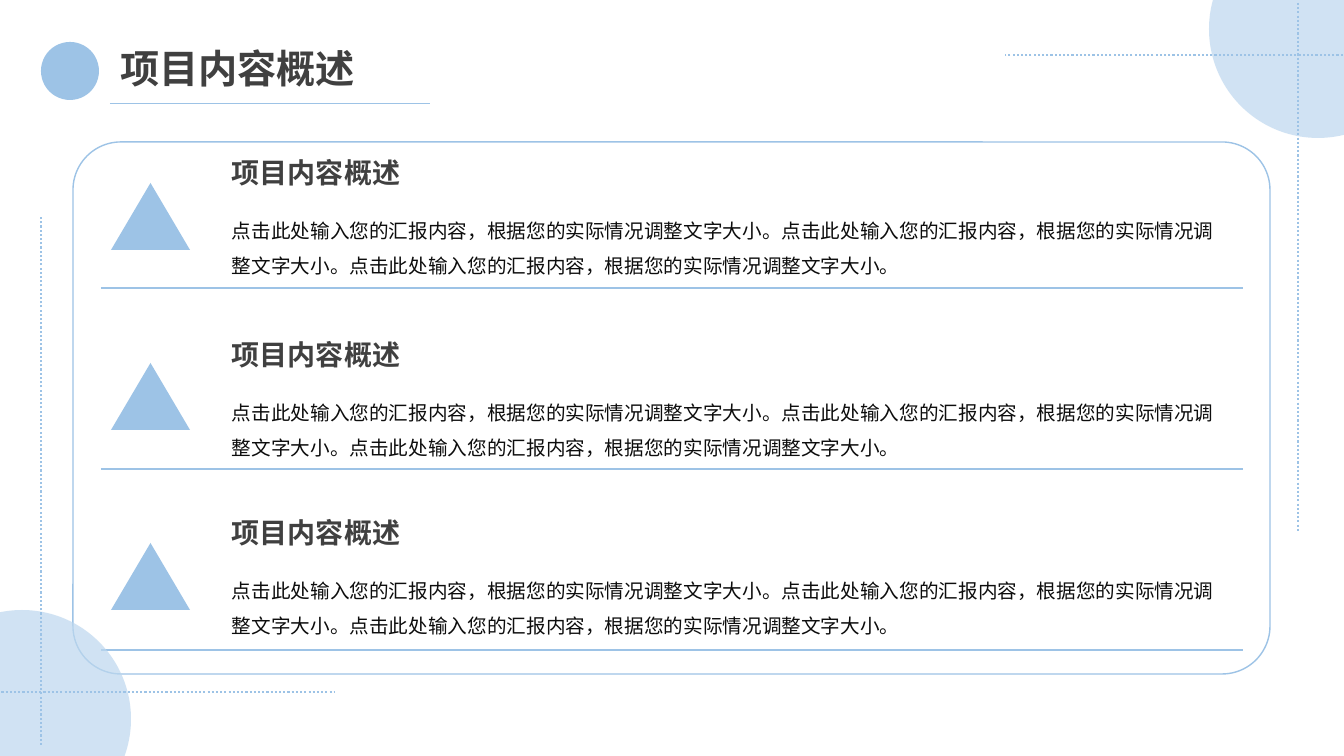
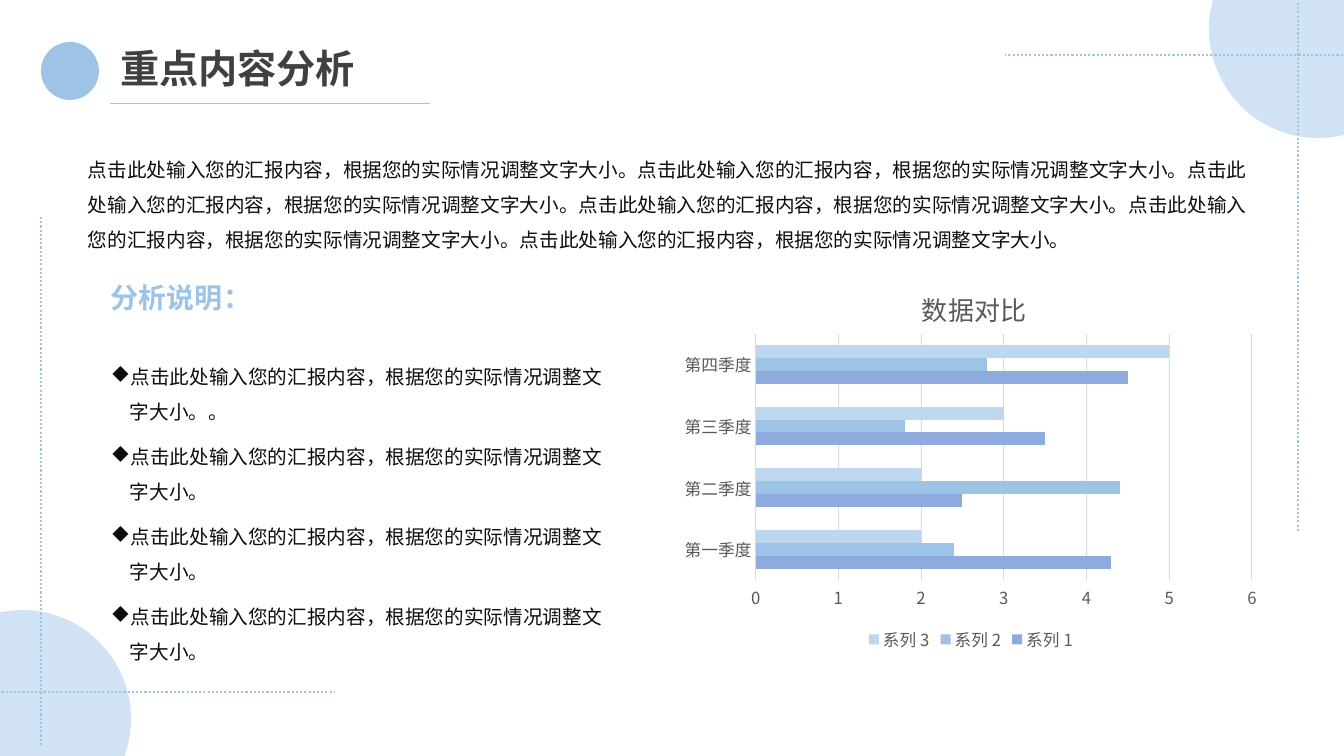
"""Build a project overview slide and a key analysis slide with a shared frame."""
from lxml import etree
from pptx import Presentation
from pptx.chart.data import CategoryChartData
from pptx.dml.color import RGBColor
from pptx.enum.chart import XL_CHART_TYPE, XL_LEGEND_POSITION, XL_TICK_MARK
from pptx.enum.dml import MSO_LINE
from pptx.enum.shapes import MSO_CONNECTOR, MSO_SHAPE
from pptx.enum.text import MSO_ANCHOR, MSO_AUTO_SIZE, PP_ALIGN
from pptx.oxml.ns import qn
from pptx.util import Emu, Pt

OVAL, TRIANGLE, ROUNDED = MSO_SHAPE.OVAL, MSO_SHAPE.ISOSCELES_TRIANGLE, MSO_SHAPE.ROUNDED_RECTANGLE
STRAIGHT, DOTTED = MSO_CONNECTOR.STRAIGHT, MSO_LINE.ROUND_DOT
BARS, LEGEND_BOTTOM, NO_TICK = XL_CHART_TYPE.BAR_CLUSTERED, XL_LEGEND_POSITION.BOTTOM, XL_TICK_MARK.NONE
TOP, GROW, LEFT, JUSTIFY = MSO_ANCHOR.TOP, MSO_AUTO_SIZE.SHAPE_TO_FIT_TEXT, PP_ALIGN.LEFT, PP_ALIGN.JUSTIFY

PX = 914400 / 100.8
FONT = "Noto Sans CJK SC"
HEX = {
    "accent": "9DC3E6", "pale": "BDD7EE", "deep": "8FAADC", "heading": "404040",
    "body": "0D0D0D", "label": "595959", "grid": "D9D9D9",
}
COLOR = {name: RGBColor.from_string(value) for name, value in HEX.items()}
STYLES = {
    "title": ("heading", {"size": Pt(28), "bold": True}, {"alignment": JUSTIFY}),
    "heading": ("heading", {"size": Pt(20), "bold": True}, {"alignment": JUSTIFY}),
    "accent": ("accent", {"size": Pt(20), "bold": True}, {"alignment": LEFT}),
    "body": ("body", {"size": Pt(14), "bold": False}, {"alignment": LEFT, "line_spacing": 1.5}),
}
SENTENCE = "点击此处输入您的汇报内容，根据您的实际情况调整文字大小。"


def write(holder, box, text, style):
    """Place a text holder at a px box and fill it in one of the styles."""
    holder.left, holder.top, holder.width, holder.height = [Emu(round(v * PX)) for v in box]
    frame = holder.text_frame
    frame.text = text
    for name, value in {"word_wrap": True, "auto_size": GROW, "vertical_anchor": TOP}.items():
        setattr(frame, name, value)
    color, font_format, paragraph_format = STYLES[style]
    paragraph = frame.paragraphs[0]
    for name, value in paragraph_format.items():
        setattr(paragraph, name, value)
    font = paragraph.runs[0].font
    for name, value in {"name": FONT, **font_format}.items():
        setattr(font, name, value)
    font.color.rgb = COLOR[color]
    return paragraph


def rule(slide, ends, weight, dash=None):
    """Draw an accent line between two px points."""
    line = slide.shapes.add_connector(STRAIGHT, *[Emu(round(v * PX)) for v in ends])
    line.line.color.rgb = COLOR["accent"]
    line.line.width = Pt(weight)
    line.line.dash_style = dash
    etree.SubElement(line.element.spPr, qn("a:effectLst"))


deck = Presentation()
deck.slide_width, deck.slide_height = Emu(round(1344 * PX)), Emu(round(756 * PX))
title_only = deck.slide_layouts[5]
overview, analysis = [deck.slides.add_slide(title_only) for _ in range(2)]
for slide, title in ((overview, "项目内容概述"), (analysis, "重点内容分析")):
    write(slide.shapes.title, (110, 39, 321, 57), title, "title")

panel = overview.shapes.add_shape(ROUNDED, *[Emu(round(v * PX)) for v in (73, 142, 1197, 532)])
panel.adjustments[0] = 0.09
panel.shadow.inherit = False
panel.fill.background()
panel.line.color.rgb = COLOR["accent"]
panel.line.width = Pt(1)

for row, heading_top in enumerate((151, 333, 511)):
    divider_y = 288 + 181 * row
    rule(overview, (101, divider_y, 1243, divider_y), 1.5)
    marker_box = (111, 183 + 180 * row, 79, 67)
    marker = overview.shapes.add_shape(TRIANGLE, *[Emu(round(v * PX)) for v in marker_box])
    marker.shadow.inherit = False
    marker.fill.solid()
    marker.fill.fore_color.rgb = COLOR["accent"]
    marker.line.fill.background()
    for box, text, style in (
        ((222, heading_top, 234, 44), "项目内容概述", "heading"),
        ((222, heading_top + 51, 1018, 78), SENTENCE * 3, "body"),
    ):
        write(overview.shapes.add_textbox(0, 0, 0, 0), box, text, style)

quarters = CategoryChartData()
quarters.categories = ["第一季度", "第二季度", "第三季度", "第四季度"]
for name, values in (
    ("系列 1", (4.3, 2.5, 3.5, 4.5)),
    ("系列 2", (2.4, 4.4, 1.8, 2.8)),
    ("系列 3", (2, 2, 3, 5)),
):
    quarters.add_series(name, values)
chart_box = [Emu(round(v * PX)) for v in (672, 258, 598, 398)]
chart = analysis.shapes.add_chart(BARS, *chart_box, quarters).chart
chart.font.name, chart.font.size = FONT, Pt(11.9)
chart.font.color.rgb = COLOR["label"]

chart.has_title = True
chart.chart_title.text_frame.text = "数据对比"
caption = chart.chart_title.text_frame.paragraphs[0].runs[0].font
caption.name, caption.size, caption.bold = FONT, Pt(18.6), False
caption.color.rgb = COLOR["label"]
chart.has_legend = True
chart.legend.position = LEGEND_BOTTOM
chart.legend.include_in_layout = False

bars = chart.plots[0]
bars.gap_width, bars.overlap, bars.vary_by_categories = 182, 0, False
for series, color in zip(bars.series, ("deep", "accent", "pale")):
    series.format.fill.solid()
    series.format.fill.fore_color.rgb = COLOR[color]

quarter_axis, value_axis = chart.category_axis, chart.value_axis
for axis in (quarter_axis, value_axis):
    axis.major_tick_mark = axis.minor_tick_mark = NO_TICK
value_scale = {"minimum_scale": 0, "maximum_scale": 6, "major_unit": 1, "has_major_gridlines": True}
for name, value in value_scale.items():
    setattr(value_axis, name, value)
value_axis.format.line.fill.background()
for line in (quarter_axis.format.line, value_axis.major_gridlines.format.line):
    line.color.rgb = COLOR["grid"]
    line.width = Pt(0.75)

title_element = chart.chart_title.element
plot_area = chart.element.find(".//" + qn("c:plotArea"))
for owner, position, settings in (
    (title_element, 1, {"xMode": "edge", "yMode": "edge", "x": 0.41, "y": 0.06}),
    (plot_area, 0, {"layoutTarget": "inner", "xMode": "edge", "yMode": "edge",
                    "x": 0.14, "y": 0.19, "w": 0.83, "h": 0.62}),
):
    for old in owner.findall(qn("c:layout")):
        owner.remove(old)
    layout = etree.Element(qn("c:layout"))
    manual = etree.SubElement(layout, qn("c:manualLayout"))
    for tag, value in settings.items():
        etree.SubElement(manual, qn("c:" + tag), val=str(value))
    owner.insert(position, layout)

for box, text, style in (
    ((78, 141, 1188, 113), SENTENCE * 6, "body"),
    ((101, 276, 195, 44), "分析说明：", "accent"),
):
    write(analysis.shapes.add_textbox(0, 0, 0, 0), box, text, style)

for row, ending in enumerate(("。", "", "", "")):
    point_box = (101, 348 + 80 * row, 521, 78)
    point = write(analysis.shapes.add_textbox(0, 0, 0, 0), point_box, SENTENCE + ending, "body")
    properties = point.runs[0].font and point.line_spacing and point._p.get_or_add_pPr()
    indent = round(19 * PX)
    properties.set("marL", str(indent))
    properties.set("indent", str(-indent))
    etree.SubElement(properties, qn("a:buFont"), typeface="Wingdings")
    etree.SubElement(properties, qn("a:buChar"), char="u")

for slide in deck.slides:
    for circle_box, color, opacity in (
        ((1209, -80, 218, 218), "pale", 70),
        ((-87, 610, 218, 218), "pale", 70),
        ((41, 42, 58, 58), "accent", 100),
    ):
        circle = slide.shapes.add_shape(OVAL, *[Emu(round(v * PX)) for v in circle_box])
        circle.shadow.inherit = False
        circle.fill.solid()
        circle.fill.fore_color.rgb = COLOR[color]
        circle.line.fill.background()
        if opacity < 100:
            tint = circle.element.spPr.find(".//" + qn("a:srgbClr"))
            etree.SubElement(tint, qn("a:alpha"), val=str(opacity * 1000))
    for ends in (
        (1347, 55, 1005, 55), (1298, 3, 1298, 533),
        (-7, 692, 335, 692), (41, 745, 41, 215),
    ):
        rule(slide, ends, 1.5, DOTTED)
    rule(slide, (110, 103, 430, 103), 0.5)

for root in (overview.element, analysis.element, chart.element):
    for latin in list(root.iter(qn("a:latin"))):
        east_asian = etree.Element(qn("a:ea"), typeface=FONT)
        latin.addnext(east_asian)

deck.save("out.pptx")
